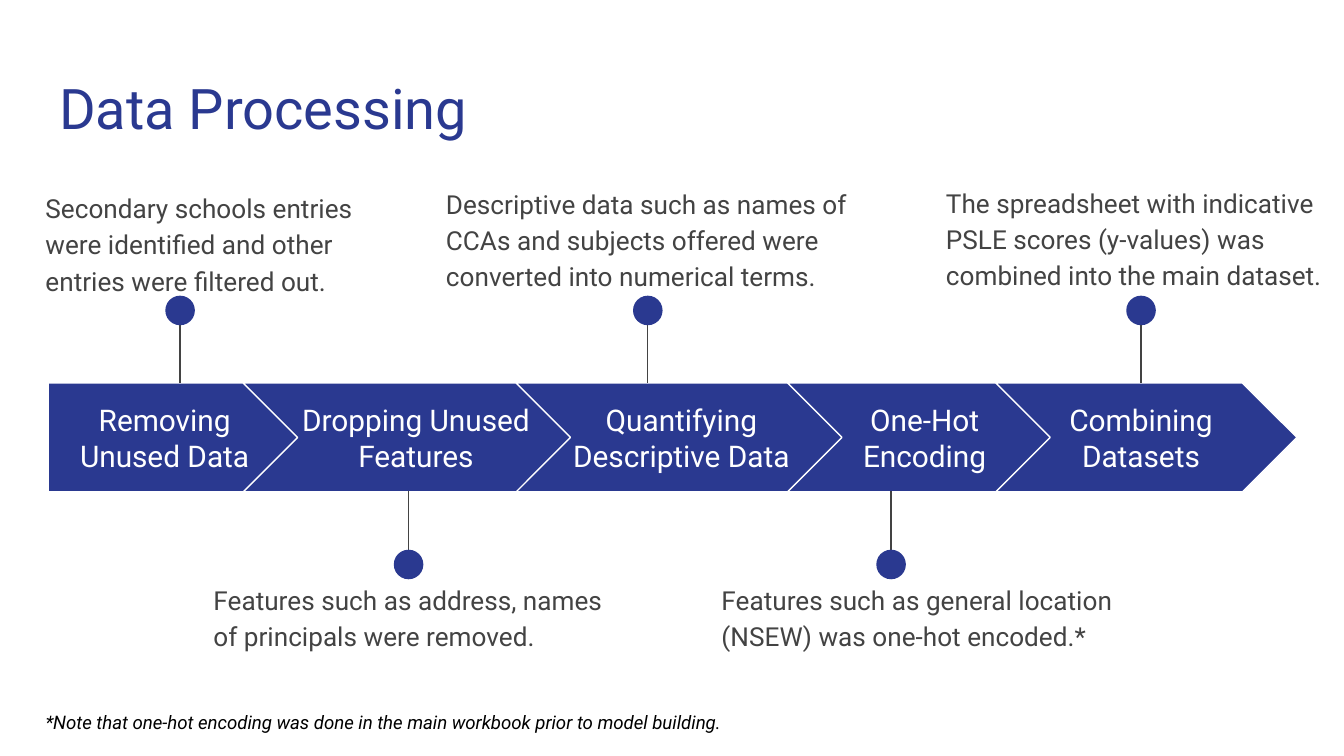
from dataclasses import dataclass

from lxml import etree
from pptx import Presentation
from pptx.dml.color import RGBColor
from pptx.enum import shapes, text
from pptx.oxml import ns
from pptx.util import Inches, Pt

HUES = {"navy": "2A3990", "white": "FFFFFF", "gray": "434343", "black": "000000"}
FONT = "Roboto"
TOP, HIGH = 2.85, 0.81  # band of arrows
DOT = 0.22


@dataclass
class Step:
    left: float
    width: float
    label: str
    label_box: tuple[float, float]  # left, width
    pin: float  # centre of the dot
    above: bool
    note: str
    note_box: tuple[float, float, float, float]
    after: int = 16


STEPS = [
    Step(0.36, 1.86, "Removing Unused Data", (0.47, 1.51), 1.34, True,
         "Secondary schools entries were identified and other entries "
         "were filtered out.", (0.24, 1.3, 2.56, 0.72), 8),
    Step(1.81, 2.45, "Dropping Unused Features", (2.12, 1.95), 3.04, False,
         "Features such as address, names of principals were removed.",
         (1.49, 4.21, 3.1, 0.99)),
    Step(3.84, 2.45, "Quantifying Descriptive Data", (4.08, 1.98), 4.82, True,
         "Descriptive data such as names of CCAs and subjects offered were "
         "converted into numerical terms.", (3.22, 1.27, 3.3, 0.89)),
    Step(5.86, 1.98, "One-Hot Encoding", (6.16, 1.44), 6.63, False,
         "Features such as general location (NSEW) was one-hot encoded.*",
         (5.27, 4.21, 3.16, 0.89)),
    Step(7.41, 2.24, "Combining Datasets", (7.77, 1.44), 8.49, True,
         "The spreadsheet with indicative PSLE scores (y-values) was "
         "combined into the main dataset.", (6.94, 1.26, 3.1, 0.99)),
]


def color(name: str) -> RGBColor:
    return RGBColor.from_string(HUES[name])


def write(shape, words: str, size: int, hue: str,
          align=text.PP_ALIGN.LEFT, anchor=text.MSO_ANCHOR.TOP):
    """Fill a text shape with one paragraph and return that paragraph."""
    frame = shape.text_frame
    frame.text = words
    frame.word_wrap = True
    frame.auto_size = text.MSO_AUTO_SIZE.NONE
    frame.vertical_anchor = anchor
    frame.margin_left = frame.margin_right = Inches(0.1)
    frame.margin_top = frame.margin_bottom = Inches(0.1)
    para = frame.paragraphs[0]
    para.alignment = align
    para.font.name, para.font.size = FONT, Pt(size)
    para.font.color.rgb = color(hue)
    return para


def add_text(slide, box: tuple[float, float, float, float], *args, **kwargs):
    return write(slide.shapes.add_textbox(*map(Inches, box)), *args, **kwargs)


def add_solid(slide, kind, box: tuple[float, float, float, float]):
    """Add a navy shape with no outline."""
    shape = slide.shapes.add_shape(kind, *map(Inches, box))
    shape.shadow.inherit = False
    shape.fill.solid()
    shape.fill.fore_color.rgb = color("navy")
    shape.line.fill.background()
    return shape


def add_arrow(slide, step: Step, kind) -> None:
    arrow = add_solid(slide, kind, (step.left, TOP, step.width, HIGH))
    arrow.adjustments[0] = 0.5
    arrow.line.color.rgb = color("white")
    arrow.line.width = Pt(0.75)
    left, width = step.label_box
    add_text(slide, (left, 3, width, 0.51), step.label, 16, "white",
             text.PP_ALIGN.CENTER, text.MSO_ANCHOR.MIDDLE)


def add_pin(slide, step: Step) -> None:
    """Draw the stem and dot that tie a note to its arrow."""
    dot, start, end = (2.2, 2.24, TOP) if step.above else (4.09, 4.26, 3.65)
    x = Inches(step.pin)
    stem = slide.shapes.add_connector(
        shapes.MSO_CONNECTOR.STRAIGHT, x, Inches(start), x, Inches(end))
    stem.line.color.rgb = color("gray")
    stem.line.width = Pt(0.75)
    etree.SubElement(stem._element.spPr, ns.qn("a:effectLst"))
    add_solid(slide, shapes.MSO_SHAPE.OVAL, (step.pin - DOT / 2, dot, DOT, DOT))


def add_note(slide, step: Step) -> None:
    para = add_text(slide, step.note_box, step.note, 14, "gray")
    para.line_spacing = 1.15
    para.space_after = Pt(step.after)


def main() -> None:
    deck = Presentation()
    deck.slide_width = Inches(10)
    deck.slide_height = deck.slide_width * 9 // 16
    slide = deck.slides.add_slide(deck.slide_layouts[5])

    title = slide.shapes.title
    title.left, title.top = Inches(0.34), Inches(0.45)
    title.width, title.height = Inches(9.32), Inches(0.66)
    write(title, "Data Processing", 30, "navy")

    for i, step in enumerate(STEPS):
        kind = shapes.MSO_SHAPE.CHEVRON if i else shapes.MSO_SHAPE.PENTAGON
        add_arrow(slide, step, kind)
        add_pin(slide, step)
        add_note(slide, step)

    foot = add_text(slide, (0.24, 5.19, 8.45, 0.37),
                    "*Note that one-hot encoding was done in the main workbook "
                    "prior to model building.", 10, "black")
    foot.font.italic = True
    deck.save("out.pptx")


if __name__ == "__main__":
    main()
